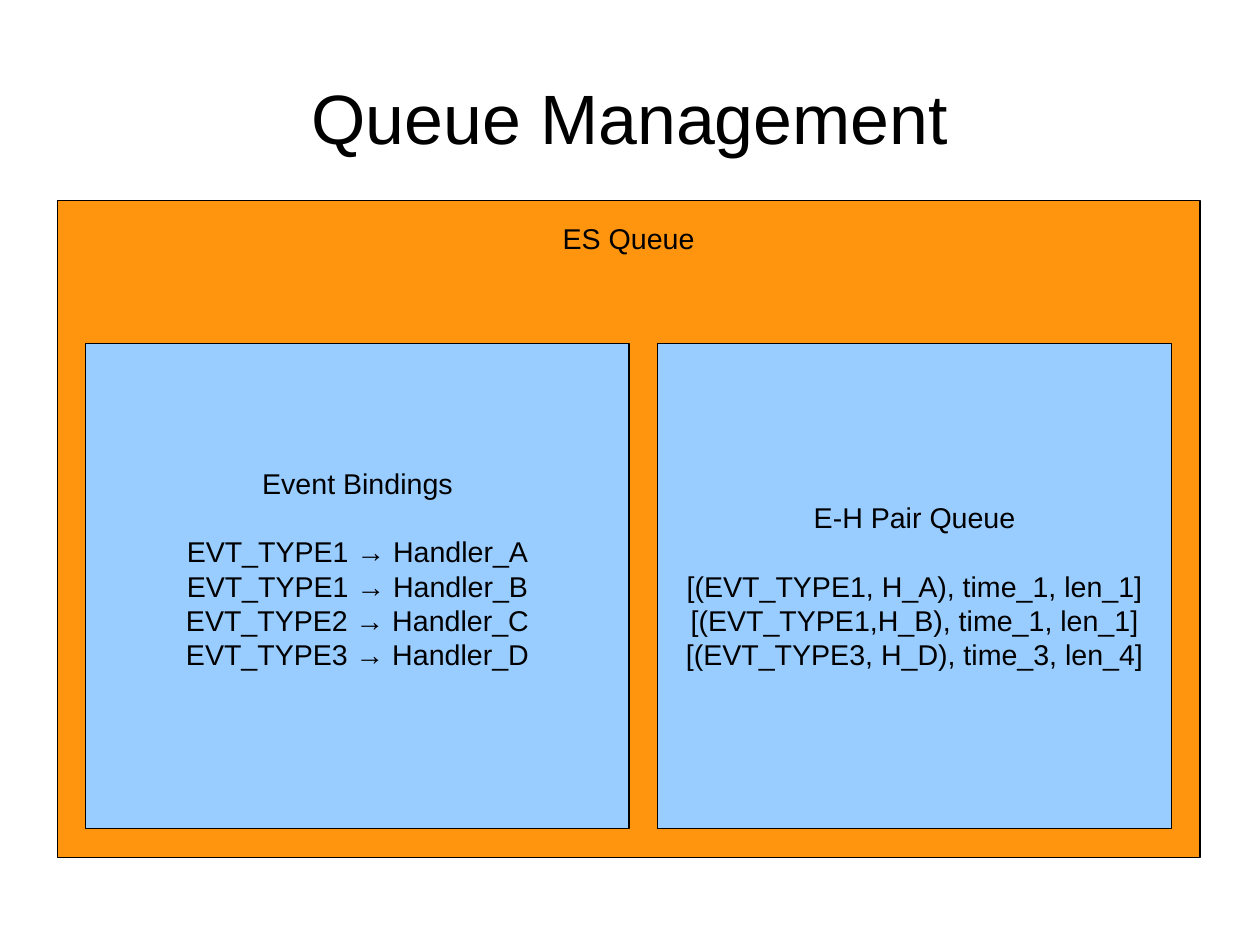
from pptx import Presentation
from pptx.dml.color import RGBColor
from pptx.enum.shapes import MSO_SHAPE as Shape
from pptx.enum.text import MSO_ANCHOR as Anchor, MSO_AUTO_SIZE as AutoSize, PP_ALIGN as Align
from pptx.util import Cm, Pt

BLACK = RGBColor(0x00, 0x00, 0x00)
ORANGE = RGBColor(0xFF, 0x95, 0x0E)
BLUE = RGBColor(0x99, 0xCC, 0xFF)
FONT = "Arial"
MARGIN = Cm(0.64)
HEADER = Cm(3.18)
BINDINGS_WIDTH = Cm(12.07)
LINE_GAP = Pt(21.6)

BINDINGS = [
    "Event Bindings",
    "EVT_TYPE1 → Handler_A",
    "EVT_TYPE1 → Handler_B",
    "EVT_TYPE2 → Handler_C",
    "EVT_TYPE3 → Handler_D",
]
PAIRS = [
    "E-H Pair Queue",
    "[(EVT_TYPE1, H_A), time_1, len_1]",
    "[(EVT_TYPE1,H_B), time_1, len_1]",
    "[(EVT_TYPE3, H_D), time_3, len_4]",
]


def write_paragraph(para, text, size=18, space_before=0):
    para.alignment = Align.CENTER
    para.space_before = space_before
    span = para.add_run()
    span.text = text
    span.font.name = FONT
    span.font.size = Pt(size)
    span.font.color.rgb = BLACK


def add_panel(page, left, top, width, height, fill, lines,
              anchor=Anchor.MIDDLE, top_inset=Cm(0.13), bottom_inset=Cm(0.13)):
    box = page.shapes.add_shape(Shape.RECTANGLE, left, top, width, height)
    box.shadow.inherit = False
    box.fill.solid()
    box.fill.fore_color.rgb = fill
    box.line.color.rgb = BLACK
    box.line.width = Pt(0)
    frame = box.text_frame
    frame.word_wrap = True
    frame.vertical_anchor = anchor
    frame.margin_left = frame.margin_right = Cm(0.25)
    frame.margin_top = top_inset
    frame.margin_bottom = bottom_inset
    for index, text in enumerate(lines):
        para = frame.add_paragraph() if index else frame.paragraphs[0]
        write_paragraph(para, text, space_before=LINE_GAP if index == 1 else 0)


def place_title(page, left, top, width, height, text):
    title = page.shapes.title
    title.left, title.top, title.width, title.height = left, top, width, height
    frame = title.text_frame
    frame.word_wrap = True
    frame.auto_size = AutoSize.NONE
    frame.vertical_anchor = Anchor.MIDDLE
    frame.margin_left = frame.margin_right = frame.margin_top = frame.margin_bottom = 0
    write_paragraph(frame.paragraphs[0], text, size=44)


def add_queue(page, left, top, width, height):
    add_panel(page, left, top, width, height, ORANGE, ["ES Queue"],
              anchor=Anchor.TOP, top_inset=Cm(0.47))
    panel_top = top + HEADER
    panel_height = height - HEADER - MARGIN
    pairs_width = width - BINDINGS_WIDTH - 3 * MARGIN
    add_panel(page, left + MARGIN, panel_top, BINDINGS_WIDTH, panel_height,
              BLUE, BINDINGS, bottom_inset=Cm(0.13) + LINE_GAP)
    add_panel(page, left + BINDINGS_WIDTH + 2 * MARGIN, panel_top, pairs_width,
              panel_height, BLUE, PAIRS)


def main():
    deck = Presentation()
    deck.slide_width, deck.slide_height = Cm(28), Cm(21)
    page = deck.slides.add_slide(deck.slide_layouts[5])
    place_title(page, Cm(1.4), Cm(0.84), Cm(25.2), Cm(3.5), "Queue Management")
    add_queue(page, Cm(1.27), Cm(4.45), Cm(25.4), Cm(14.6))
    deck.save("out.pptx")


if __name__ == "__main__":
    main()
